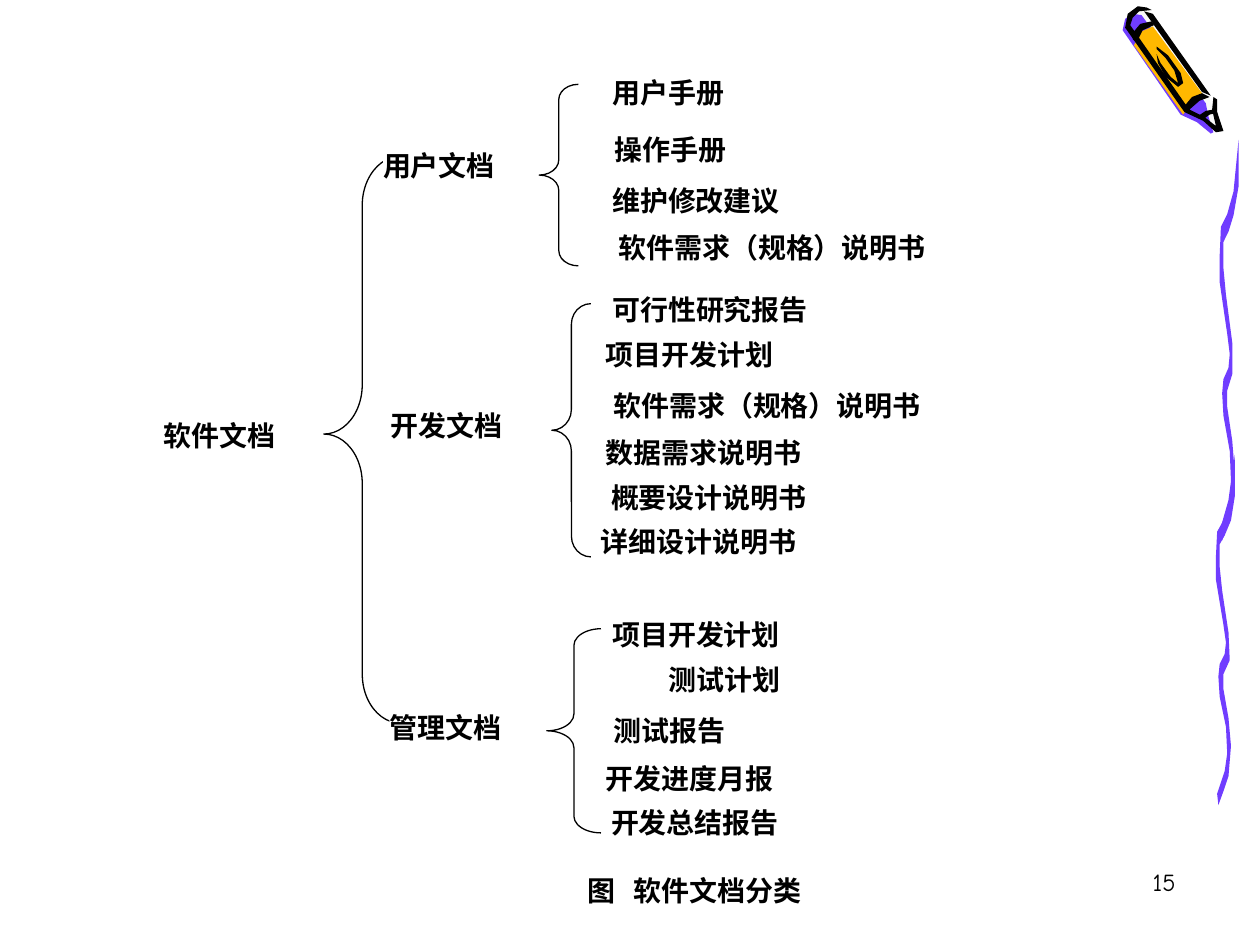
from dataclasses import dataclass
from math import cos, radians, sin

from pptx import Presentation
from pptx.dml.color import RGBColor
from pptx.enum.shapes import MSO_SHAPE
from pptx.enum.text import MSO_ANCHOR, MSO_AUTO_SIZE, PP_ALIGN
from pptx.oxml import parse_xml
from pptx.oxml.ns import nsdecls
from pptx.util import Pt

PX = 9144  # EMU per px, 100 px to the inch


@dataclass(frozen=True)
class Theme:
    ink: RGBColor = RGBColor(0x00, 0x00, 0x00)
    paper: RGBColor = RGBColor(0xFF, 0xFF, 0xFF)
    gloss: RGBColor = RGBColor(0xF8, 0xF8, 0xF8)
    violet: RGBColor = RGBColor(0x70, 0x3D, 0xFF)
    amber: RGBColor = RGBColor(0xFF, 0xB8, 0x00)
    label_font: str = "Times New Roman"
    number_font: str = "Comic Neue"
    label_size: Pt = Pt(16)
    number_size: Pt = Pt(14)
    brace_width: Pt = Pt(0.75)


THEME = Theme()
LABEL_HEIGHT = 29
ITEM_INDENT = 50
CAPTION_TAB = 37
CRAYON_ANGLE = 32

CAPTION = ("图\t软件文档分类", (466, 693, 265, LABEL_HEIGHT))
PAGE_NUMBER = ("15", (735, 683, 208, 50))

# Label: text, left, top, width, indent level
# Brace: left, top, width, height, curl, position of the point
ROOT = {
    "label": ("软件文档", 130, 332, 123, 0),
    "brace": (257, 124, 61, 450, 0.64, 0.49),
}
BRANCHES = [
    {
        "label": ("用户文档", 304, 118, 123, 0),
        "brace": (428, 67, 31, 144, 0.39, 0.5),
        "items": [
            ("用户手册", 486, 60, 122, 0),
            ("操作手册", 488, 105, 122, 0),
            ("维护修改建议", 486, 146, 184, 0),
            ("软件需求（规格）说明书", 491, 183, 332, 0),
        ],
    },
    {
        "label": ("开发文档", 310, 324, 122, 0),
        "brace": (438, 241, 31, 201, 0.53, 0.5),
        "items": [
            ("可行性研究报告", 486, 232, 332, 0),
            ("项目开发计划", 481, 268, 306, 0),
            ("软件需求（规格）说明书", 487, 308, 306, 0),
            ("数据需求说明书", 481, 346, 306, 0),
            ("概要设计说明书", 485, 381, 306, 0),
            ("详细设计说明书", 477, 416, 306, 0),
        ],
    },
    {
        "label": ("管理文档", 309, 564, 122, 0),
        "brace": (434, 499, 43, 162, 0.31, 0.5),
        "items": [
            ("项目开发计划", 486, 490, 332, 0),
            ("测试计划", 481, 526, 306, 1),
            ("测试报告", 487, 566, 306, 0),
            ("开发进度月报", 481, 604, 306, 0),
            ("开发总结报告", 485, 639, 306, 0),
        ],
    },
]

WAVES = [
    (THEME.violet, [
        (966, 630), (972, 612), (974, 598), (973, 577), (968, 553), (967, 537), (968, 527), (972, 519),
        (973, 510), (971, 496), (965, 460), (965, 442), (966, 422), (971, 413), (976, 397), (980, 361),
        (980, 394), (977, 413), (972, 425), (968, 432), (968, 450), (970, 469), (975, 502), (976, 524),
        (971, 535), (971, 547), (975, 570), (977, 592), (975, 616), (971, 628), (967, 639)]),
    (THEME.violet, [
        (969, 418), (975, 397), (977, 382), (976, 358), (971, 330), (970, 312), (971, 301), (975, 292),
        (976, 281), (974, 265), (968, 224), (968, 203), (969, 180), (974, 170), (979, 152), (983, 111),
        (983, 148), (979, 171), (975, 184), (971, 192), (971, 213), (973, 234), (978, 272), (978, 297),
        (974, 310), (974, 323), (978, 350), (980, 375), (978, 402), (974, 417), (970, 429)]),
]
CRAYON = [
    (THEME.gloss, [
        (968, 100), (963, 86), (953, 64), (911, 7), (904, 6), (897, 11), (896, 20), (941, 86),
        (956, 93), (966, 102)]),
    (THEME.violet, [
        (906, 12), (957, 82), (959, 92), (963, 105), (961, 106), (950, 97), (937, 91), (891, 24),
        (893, 15), (899, 11)]),
    (THEME.amber, [
        (900, 36), (939, 91), (947, 80), (957, 78), (915, 21), (906, 25)]),
    (THEME.ink, [
        (963, 87), (957, 88), (951, 92), (956, 94), (960, 91), (964, 90)]),
    (THEME.ink, [
        (910, 6), (903, 5), (895, 11), (893, 22), (940, 89), (955, 96), (965, 105), (971, 104),
        (966, 89), (966, 79), (963, 77), (962, 87), (965, 100), (956, 93), (944, 87), (952, 80),
        (960, 77), (954, 74), (946, 77), (941, 83), (897, 20), (899, 14), (904, 9), (914, 8)]),
    (THEME.ink, [(915, 11), (961, 76), (954, 73), (908, 9)]),
    (THEME.ink, [
        (914, 17), (905, 19), (900, 25), (899, 31), (902, 34), (907, 24), (916, 20)]),
    (THEME.ink, [
        (918, 39), (925, 46), (932, 56), (935, 66), (929, 61), (921, 50), (918, 43), (919, 50),
        (925, 61), (935, 69), (939, 66), (937, 58), (927, 44), (918, 37)]),
]


def emu(*lengths):
    return [round(length * PX) for length in lengths]


def turn(x, y, degrees):
    """Turn a point clockwise about the slide's top left corner."""
    c, s = cos(radians(degrees)), sin(radians(degrees))
    return x * c - y * s, x * s + y * c


def add_outline(group, color, points, angle=0):
    """Draw an outline upright, then rotate it so its points land as given."""
    upright = [emu(*turn(x, y, -angle)) for x, y in points]
    builder = group.shapes.build_freeform(*upright[0], scale=1.0)
    builder.add_line_segments(upright[1:], close=True)
    outline = builder.convert_to_shape()
    center = turn(outline.left + outline.width / 2, outline.top + outline.height / 2, angle)
    outline.left = round(center[0] - outline.width / 2)
    outline.top = round(center[1] - outline.height / 2)
    outline.rotation = angle
    outline.shadow.inherit = False
    outline.fill.solid()
    outline.fill.fore_color.rgb = color
    outline.line.fill.background()


def write(holder, text, font, size, bold, align, insets=(0, 0)):
    frame = holder.text_frame
    frame.word_wrap = True
    frame.auto_size = MSO_AUTO_SIZE.NONE
    frame.vertical_anchor = MSO_ANCHOR.TOP
    frame.margin_left = frame.margin_right = insets[0] * PX
    frame.margin_top = frame.margin_bottom = insets[1] * PX
    paragraph = frame.paragraphs[0]
    paragraph.alignment = align
    run = paragraph.add_run()
    run.text = text
    run.font.name, run.font.size, run.font.bold = font, size, bold
    run.font.color.rgb = THEME.ink
    return paragraph


def write_label(holder, text):
    return write(holder, text, THEME.label_font, THEME.label_size, True, PP_ALIGN.JUSTIFY)


def add_label(group, text, left, top, width, level):
    label = group.shapes.add_shape(MSO_SHAPE.RECTANGLE, *emu(left, top, width, LABEL_HEIGHT))
    label.shadow.inherit = False
    label.fill.solid()
    label.fill.fore_color.rgb = THEME.paper
    label.line.fill.background()
    paragraph = write_label(label, text)
    if level:
        paragraph.level = level
        paragraph._p.get_or_add_pPr().set("marL", str(level * ITEM_INDENT * PX))


def add_brace(group, left, top, width, height, curl, point):
    brace = group.shapes.add_shape(MSO_SHAPE.LEFT_BRACE, *emu(left, top, width, height))
    brace.adjustments[0], brace.adjustments[1] = curl, point
    brace.shadow.inherit = False
    brace.fill.background()
    brace.line.color.rgb = THEME.ink
    brace.line.width = THEME.brace_width


def main():
    prs = Presentation()
    prs.slide_width, prs.slide_height = emu(1000, 750)
    slide = prs.slides.add_slide(prs.slide_layouts[5])

    for outlines, angle in ((WAVES, 0), (CRAYON, CRAYON_ANGLE)):
        group = slide.shapes.add_group_shape()
        for color, points in outlines:
            add_outline(group, color, points, angle)

    text, place = PAGE_NUMBER
    number = slide.shapes.add_textbox(*emu(*place))
    write(number, text, THEME.number_font, THEME.number_size, False, PP_ALIGN.RIGHT, (10, 5))

    diagram = slide.shapes.add_group_shape()
    for node in [ROOT, *BRANCHES]:
        add_brace(diagram, *node["brace"])
        for label in [node["label"], *node.get("items", [])]:
            add_label(diagram, *label)

    text, place = CAPTION
    caption = slide.shapes.title
    caption.left, caption.top, caption.width, caption.height = emu(*place)
    paragraph = write_label(caption, text)
    paragraph._p.get_or_add_pPr().append(parse_xml(
        f'<a:tabLst {nsdecls("a")}><a:tab pos="{CAPTION_TAB * PX}" algn="l"/></a:tabLst>'))

    prs.save("out.pptx")


if __name__ == "__main__":
    main()
